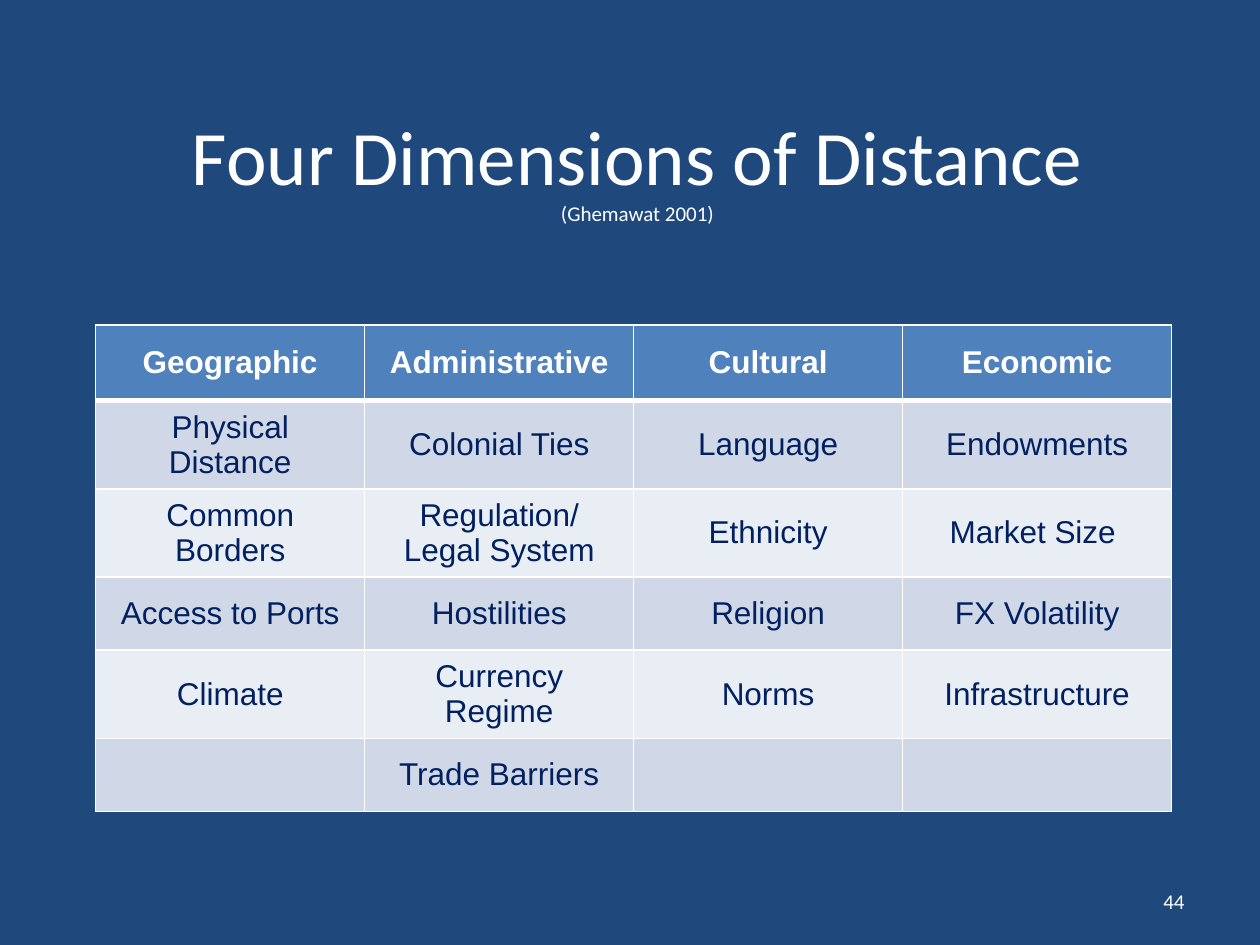
from pptx import Presentation
from pptx.dml.color import RGBColor
from pptx.enum.text import MSO_ANCHOR, PP_ALIGN
from pptx.oxml.ns import qn
from pptx.util import Inches, Pt
from lxml import etree

CENTER, RIGHT = PP_ALIGN.CENTER, PP_ALIGN.RIGHT
MIDDLE = MSO_ANCHOR.MIDDLE

# Content
TITLE = [("Four Dimensions of Distance", 44), ("(Ghemawat 2001)", 12)]
PAGE_NUMBER = "44"
HEADERS = ["Geographic", "Administrative", "Cultural", "Economic"]
ROWS = [
    ["Physical Distance", "Colonial Ties", "Language", "Endowments"],
    ["Common Borders", "Regulation/\nLegal System", "Ethnicity", "Market Size "],
    ["Access to Ports", "Hostilities", "Religion", "FX Volatility"],
    ["Climate", "Currency Regime", "Norms", "Infrastructure"],
    ["", "Trade Barriers", "", ""],
]

# Style
BACKGROUND, WHITE, NAVY = "1F497D", "FFFFFF", "002060"
HEADER_FILL, BAND_FILLS = "4F81BD", ["D0D8E8", "E9EDF4"]
HEADER_HEIGHT, ROW_HEIGHT, COLUMN_WIDTH = 0.6, 0.58, 2.135


def color(value):
    return RGBColor.from_string(value)


def add_span(para, text, size, font, ink, bold=False):
    span = para.add_run()
    span.text = text
    span.font.size = Pt(size)
    span.font.name = font
    span.font.bold = bold
    span.font.color.rgb = color(ink)


def add_box(page, left, top, width, height, lines, align):
    box = page.shapes.add_textbox(
        Inches(left), Inches(top), Inches(width), Inches(height))
    frame = box.text_frame
    frame.word_wrap = True
    frame.vertical_anchor = MIDDLE
    para = frame.paragraphs[0]
    para.alignment = align
    for index, (text, size) in enumerate(lines):
        if index:
            para.add_line_break()
        add_span(para, text, size, "Calibri", WHITE)


def add_border(cell, side, points):
    properties = cell._tc.get_or_add_tcPr()
    line = etree.SubElement(properties, qn(f"a:ln{side}"), w=str(Pt(points)))
    fill = etree.SubElement(line, qn("a:solidFill"))
    etree.SubElement(fill, qn("a:srgbClr"), val=WHITE)


def fill_cell(cell, text, row):
    header = row == 0
    # Thick rule between the header and the first row
    widths = {"L": 1, "R": 1, "T": 3 if row == 1 else 1, "B": 3 if header else 1}
    for side, points in widths.items():
        add_border(cell, side, points)
    cell.fill.solid()
    cell.fill.fore_color.rgb = color(
        HEADER_FILL if header else BAND_FILLS[(row - 1) % 2])
    cell.vertical_anchor = MIDDLE
    if not text:
        return
    frame = cell.text_frame
    for index, line in enumerate(text.split("\n")):
        para = frame.add_paragraph() if index else frame.paragraphs[0]
        para.alignment = CENTER
        add_span(para, line, 18, "Arial", WHITE if header else NAVY, header)


def add_dimensions(page):
    content = [HEADERS] + ROWS
    heights = [HEADER_HEIGHT] + [ROW_HEIGHT] * len(ROWS)
    table = page.shapes.add_table(
        len(content), len(HEADERS), Inches(0.76), Inches(2.58),
        Inches(COLUMN_WIDTH * len(HEADERS)), Inches(sum(heights))).table
    for column in table.columns:
        column.width = Inches(COLUMN_WIDTH)
    for row, (texts, height) in enumerate(zip(content, heights)):
        table.rows[row].height = Inches(height)
        for column, text in enumerate(texts):
            fill_cell(table.cell(row, column), text, row)


def main():
    deck = Presentation()
    deck.slide_width, deck.slide_height = Inches(10), Inches(7.5)
    page = deck.slides.add_slide(deck.slide_layouts[6])
    page.background.fill.solid()
    page.background.fill.fore_color.rgb = color(BACKGROUND)

    # Title, page number and table
    add_box(page, 0.56, 0.7, 9, 1.25, TITLE, CENTER)
    add_box(page, 7.17, 6.95, 2.33, 0.4, [(PAGE_NUMBER, 12)], RIGHT)
    add_dimensions(page)
    deck.save("out.pptx")


if __name__ == "__main__":
    main()
